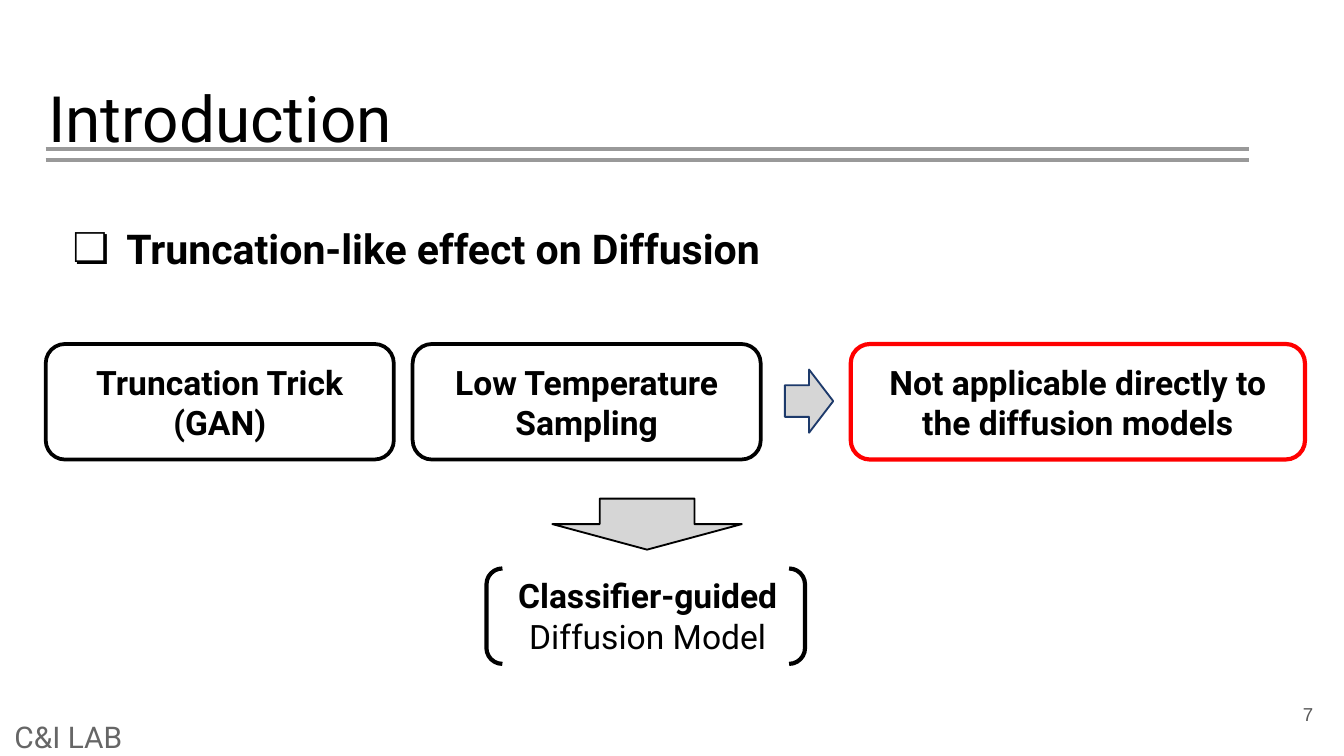
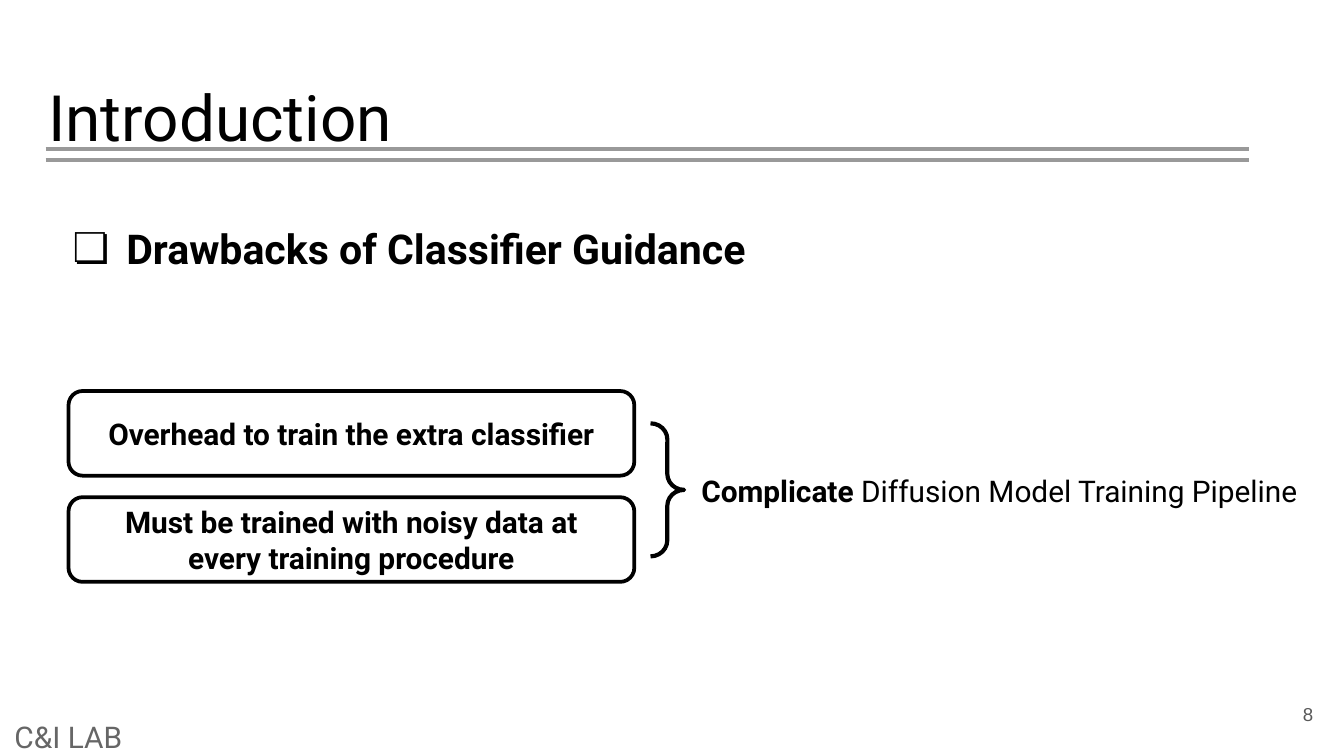
from dataclasses import dataclass
from typing import NamedTuple, Optional

from lxml import etree
from pptx import Presentation
from pptx.dml import color
from pptx.enum import shapes, text
from pptx.oxml import ns
from pptx import util as u

WIDTH = u.Inches(10)
HEIGHT = u.Emu(WIDTH * 9 // 16)
CELL = WIDTH / 100
COLORS = {
    "ink": "000000", "paper": "FFFFFF", "rule": "999999", "footer": "666666",
    "number": "595959", "alert": "FF0000", "arrow": "D6D6D6", "navy": "1D3A6B",
}
SHAPE = shapes.MSO_SHAPE
ALIGN = text.PP_ALIGN
ANCHOR = text.MSO_ANCHOR


class Area(NamedTuple):
    """A rectangle in grid cells, with 100 columns across the slide."""
    column: float
    row: float
    columns: float
    rows: float

    def lengths(self) -> list[u.Emu]:
        """Return left, top, width and height."""
        return [cells(value) for value in self]


@dataclass(frozen=True)
class Style:
    """The look of a text."""
    size: float
    color: str = "ink"
    bold: bool = False
    align: ALIGN = ALIGN.LEFT
    font: str = "Roboto"


@dataclass(frozen=True)
class Figure:
    """A preset shape with its outline, fill and optional label."""
    kind: SHAPE
    area: Area
    line: str = "ink"
    weight: float = 2.25
    fill: Optional[str] = None
    label: str = ""
    size: float = 18
    adjustments: tuple[float, ...] = ()


TITLE = Style(34.2)
HEADING = Style(22, bold=True)
FOOTER = Style(16, "footer")
NUMBER = Style(10, "number", align=ALIGN.RIGHT, font="Arial")
RULE_LEFT, RULE_RIGHT, RULE_ROWS = 3.4, 92.9, (11.1, 11.9)


def cells(count: float) -> u.Emu:
    """Convert grid cells to a length."""
    return u.Emu(round(count * CELL))


def rgb(name: str) -> color.RGBColor:
    """Look up a named colour."""
    return color.RGBColor.from_string(COLORS[name])


def place(box, area: Area) -> None:
    """Move a box to its area."""
    box.left, box.top, box.width, box.height = area.lengths()


def inset(frame, anchor: ANCHOR) -> None:
    """Give a text frame even margins of one cell."""
    frame.margin_left = frame.margin_right = cells(1)
    frame.margin_top = frame.margin_bottom = cells(1)
    frame.vertical_anchor = anchor
    frame.auto_size = text.MSO_AUTO_SIZE.NONE


def write(frame, words: str, style: Style) -> None:
    """Fill a text frame, one paragraph a line."""
    frame.word_wrap = True
    frame.text = words
    for paragraph in frame.paragraphs:
        paragraph.alignment = style.align
        for span in paragraph.runs:
            paint(span, style)


def paint(span, style: Style) -> None:
    """Apply a style to a run."""
    span.font.name = style.font
    span.font.size = u.Pt(style.size)
    span.font.bold = style.bold
    span.font.color.rgb = rgb(style.color)


def add_bullet(paragraph, mark: str) -> None:
    """Set a hanging black bullet."""
    properties = paragraph._p.get_or_add_pPr()
    properties.set("marL", str(cells(5)))
    properties.set("indent", str(cells(-4)))
    tint = etree.SubElement(properties, ns.qn("a:buClr"))
    etree.SubElement(tint, ns.qn("a:srgbClr"), val=COLORS["ink"])
    etree.SubElement(properties, ns.qn("a:buFont"), typeface="Roboto")
    etree.SubElement(properties, ns.qn("a:buChar"), char=mark)
    paragraph.line_spacing = 1.15
    paragraph.space_before = u.Pt(0)


def add_text(page, area: Area, words: str, style: Style):
    """Add a text box and return its frame."""
    frame = page.shapes.add_textbox(*area.lengths()).text_frame
    write(frame, words, style)
    return frame


def add_figure(page, figure: Figure) -> None:
    """Draw a preset shape."""
    box = page.shapes.add_shape(figure.kind, *figure.area.lengths())
    box.shadow.inherit = False
    box.line.color.rgb = rgb(figure.line)
    box.line.width = u.Pt(figure.weight)
    if figure.fill:
        box.fill.solid()
        box.fill.fore_color.rgb = rgb(figure.fill)
    else:
        box.fill.background()
    for index, value in enumerate(figure.adjustments):
        box.adjustments[index] = value
    if figure.label:
        write(box.text_frame, figure.label,
              Style(figure.size, bold=True, align=ALIGN.CENTER))
        box.text_frame.vertical_anchor = ANCHOR.MIDDLE


def add_rule(page, row: float) -> None:
    """Draw one line under the title."""
    rule = page.shapes.add_connector(
        shapes.MSO_CONNECTOR.STRAIGHT,
        cells(RULE_LEFT), cells(row), cells(RULE_RIGHT), cells(row))
    rule.line.color.rgb = rgb("rule")
    rule.line.width = u.Pt(2.25)
    etree.SubElement(rule._element.spPr, ns.qn("a:effectLst"))


def add_page(deck, number: int, heading: str, title_row: float):
    """Add a slide with title, heading, rules, number and footer."""
    page = deck.slides.add_slide(deck.slide_layouts[1])
    title, body = page.shapes.title, page.placeholders[1]
    place(title, Area(2.6, title_row, 93.2, 6.3))
    place(body, Area(3.4, 15.1, 93.2, 6.3))
    for box, words, style in ((title, "Introduction", TITLE), (body, heading, HEADING)):
        inset(box.text_frame, ANCHOR.TOP)
        write(box.text_frame, words, style)
    add_bullet(body.text_frame.paragraphs[0], "❏")
    for row in RULE_ROWS:
        add_rule(page, row)
    inset(add_text(page, Area(92.7, 51, 6, 4.3), str(number), NUMBER), ANCHOR.MIDDLE)
    inset(add_text(page, Area(0.1, 53.4, 100, 2.8), "C&I LAB", FOOTER), ANCHOR.MIDDLE)
    return page


def add_truncation_page(deck) -> None:
    """Build the slide on truncation-like effects."""
    page = add_page(deck, 7, "Truncation-like effect on Diffusion", 4.85)
    methods = ("Truncation Trick\n(GAN)", "Low Temperature\nSampling")
    for index, label in enumerate(methods):
        add_figure(page, Figure(
            SHAPE.ROUNDED_RECTANGLE, Area(3.4 + 27.3 * index, 25.6, 25.9, 8.6),
            weight=2, fill="paper", label=label))
    for figure in (
        Figure(SHAPE.ROUNDED_RECTANGLE, Area(63.3, 25.6, 33.8, 8.6), "alert",
               label="Not applicable directly to the diffusion models"),
        Figure(SHAPE.RIGHT_ARROW, Area(58.4, 27.5, 3.6, 4.7), "navy", 1, "arrow"),
        Figure(SHAPE.DOWN_ARROW, Area(41.1, 37.1, 14.1, 3.8), "ink", 1, "arrow"),
        Figure(SHAPE.DOUBLE_BRACKET, Area(36.2, 42.3, 23.7, 7.1)),
    ):
        add_figure(page, figure)
    frame = add_text(page, Area(31.3, 42.3, 33.8, 7.1),
                     "Classifier-guided\nDiffusion Model",
                     Style(18, bold=True, align=ALIGN.CENTER))
    frame.auto_size = text.MSO_AUTO_SIZE.SHAPE_TO_FIT_TEXT
    frame.paragraphs[1].runs[0].font.bold = False


def add_drawbacks_page(deck) -> None:
    """Build the slide on the drawbacks of guidance."""
    page = add_page(deck, 8, "Drawbacks of Classifier Guidance", 4.8)
    drawbacks = ("Overhead to train the extra classifier",
                 "Must be trained with noisy data at every training procedure")
    for index, label in enumerate(drawbacks):
        add_figure(page, Figure(
            SHAPE.ROUNDED_RECTANGLE, Area(5.1, 29.1 + 7.9 * index, 42.1, 6.3),
            weight=2, fill="paper", label=label, size=16))
    add_figure(page, Figure(SHAPE.RIGHT_BRACE, Area(48.4, 31.5, 2.5, 9.9),
                            adjustments=(0.476, 0.5)))
    frame = add_text(page, Area(51.2, 34.7, 47.5, 3.7), "Complicate ",
                     Style(16, bold=True, align=ALIGN.JUSTIFY))
    frame.auto_size = text.MSO_AUTO_SIZE.SHAPE_TO_FIT_TEXT
    span = frame.paragraphs[0].add_run()
    span.text = "Diffusion Model Training Pipeline"
    paint(span, Style(16))


def main() -> None:
    """Build and save the deck."""
    deck = Presentation()
    deck.slide_width, deck.slide_height = WIDTH, HEIGHT
    add_truncation_page(deck)
    add_drawbacks_page(deck)
    deck.save("out.pptx")


if __name__ == "__main__":
    main()
